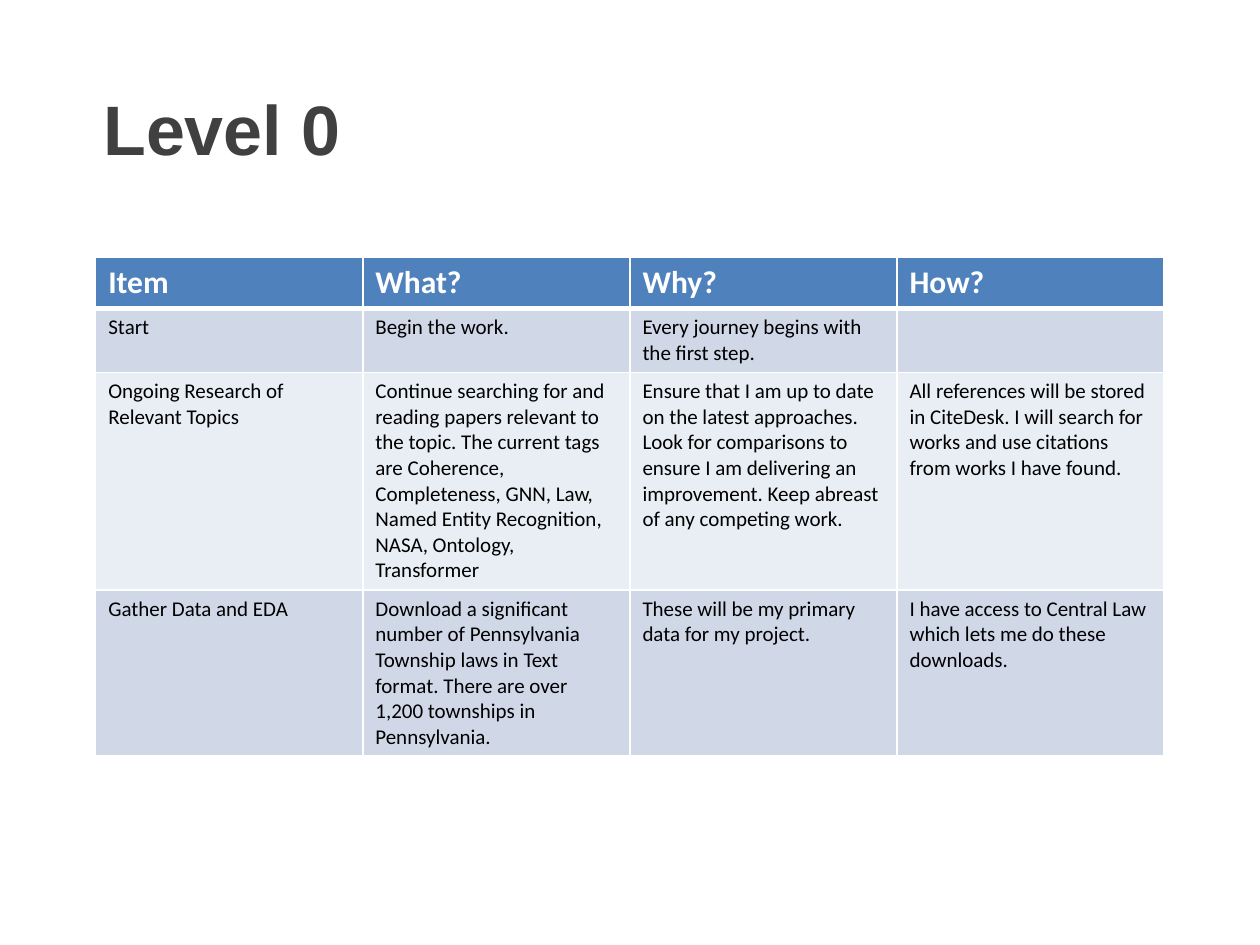
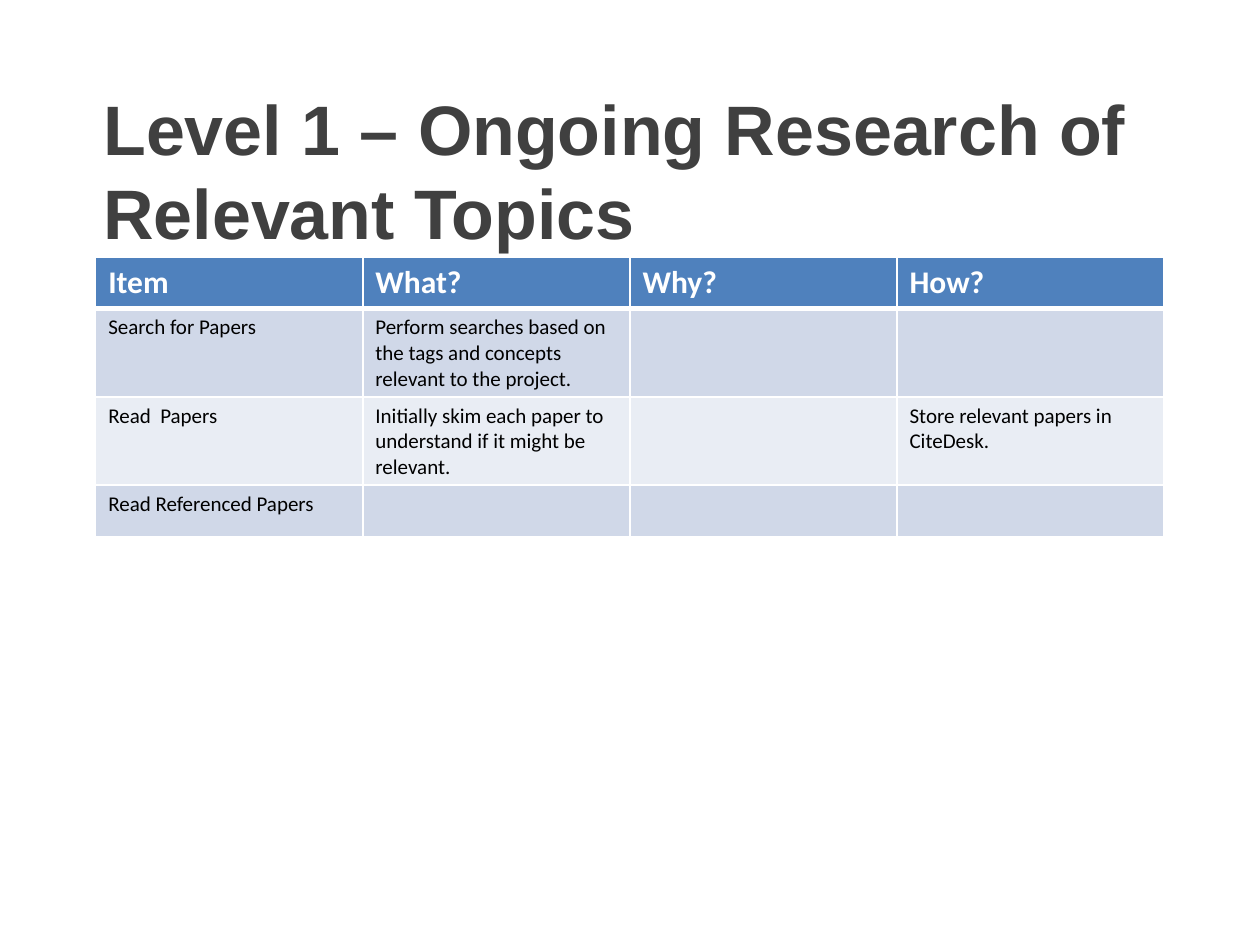
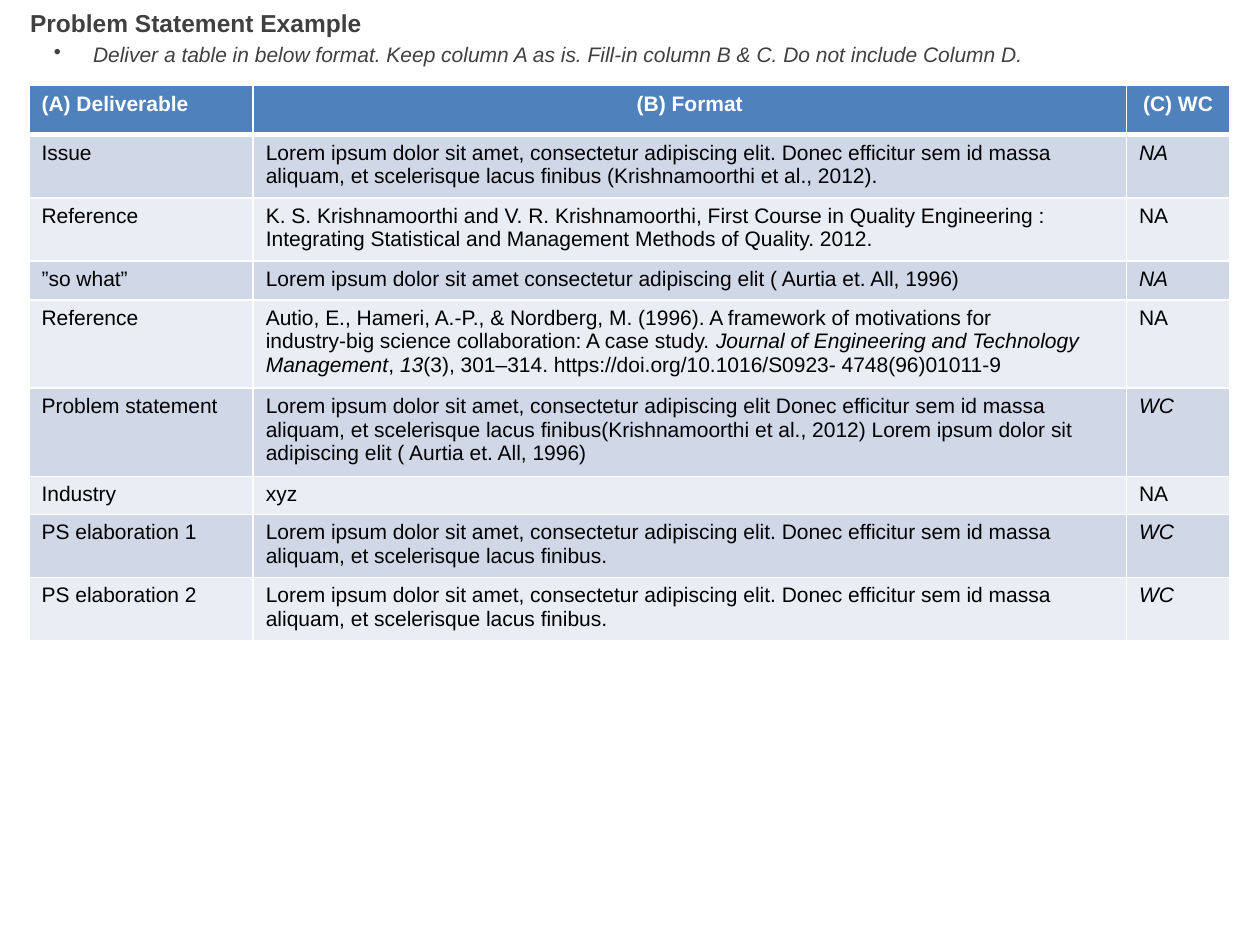
from lxml import etree
from pptx import Presentation
from pptx.dml.color import RGBColor
from pptx.enum.text import MSO_ANCHOR, PP_ALIGN
from pptx.oxml.ns import qn
from pptx.util import Inches, Pt

LEFT, CENTER = PP_ALIGN.LEFT, PP_ALIGN.CENTER
TOP = MSO_ANCHOR.TOP

# Shared look
WHITE, BLACK, GREY, HEADER = "FFFFFF", "000000", "404040", "4F81BD"
BANDS = ("D0D8E8", "E9EDF4")
SANS, BODY = "Arial", "Calibri"

# Content: *...* is italic, \n starts a paragraph
LEVEL_HEAD = ("Item", "What?", "Why?", "How?")
LEVELS = [
    ("Level 0", [
        ("Start", "Begin the work.", "Every journey begins with the first step.", ""),
        ("Ongoing Research of Relevant Topics",
         "Continue searching for and reading papers relevant to the topic. The current tags "
         "are Coherence, Completeness, GNN, Law, Named Entity Recognition, NASA, Ontology, "
         "Transformer",
         "Ensure that I am up to date on the latest approaches. Look for comparisons to "
         "ensure I am delivering an improvement. Keep abreast of any competing work.",
         "All references will be stored in CiteDesk. I will search for works and use "
         "citations from works I have found."),
        ("Gather Data and EDA",
         "Download a significant number of Pennsylvania Township laws in Text format. "
         "There are over 1,200 townships in Pennsylvania.",
         "These will be my primary data for my project.",
         "I have access to Central Law which lets me do these downloads."),
    ]),
    ("Level 1 – Ongoing Research of Relevant Topics", [
        ("Search for Papers",
         "Perform searches based on the tags and concepts relevant to the project.", "", ""),
        ("Read  Papers",
         "Initially skim each paper to understand if it might be relevant.", "",
         "Store relevant papers in CiteDesk."),
        ("Read Referenced Papers", "", "", ""),
    ]),
]

EXAMPLE_TITLE = "Problem Statement Example"
EXAMPLE_NOTE = ("Deliver a table in below format. Keep column A as is. "
                "Fill-in column B & C. Do not include Column D.")
EXAMPLE_HEAD = ("(A) Deliverable", "(B) Format", "(C) WC")
LOREM = ("Lorem ipsum dolor sit amet, consectetur adipiscing elit. Donec efficitur sem id "
         "massa aliquam, et scelerisque lacus finibus")
EXAMPLE_ROWS = [
    ("Issue", LOREM + " (Krishnamoorthi et al., 2012).", "*NA*"),
    ("Reference",
     "K. S. Krishnamoorthi and V. R. Krishnamoorthi, First Course in Quality Engineering : "
     "Integrating Statistical and Management Methods of Quality. 2012.", "NA"),
    ("”so what”",
     "Lorem ipsum dolor sit amet consectetur adipiscing elit ( Aurtia et. All, 1996)", "*NA*"),
    ("Reference",
     "Autio, E., Hameri, A.-P., & Nordberg, M. (1996). A framework of motivations for\n"
     "industry-big science collaboration: A case study. *Journal of Engineering and "
     "Technology Management*, *13*(3), 301–314. "
     "https://doi.org/10.1016/S0923- 4748(96)01011-9", "NA"),
    ("Problem statement",
     "Lorem ipsum dolor sit amet, consectetur adipiscing elit Donec efficitur sem id massa "
     "aliquam, et scelerisque lacus finibus(Krishnamoorthi et al., 2012) Lorem ipsum dolor "
     "sit adipiscing elit ( Aurtia et. All, 1996)", "*WC*"),
    ("Industry", "xyz", "NA"),
    ("PS elaboration 1", LOREM + ".", "*WC*"),
    ("PS elaboration 2", LOREM + ".", "*WC*"),
]
EXAMPLE_HEIGHTS = [0.39, 0.5, 0.5, 0.31, 0.7, 0.7, 0.3, 0.5, 0.5]


def rgb(color):
    return RGBColor.from_string(color)


def write(tf, text, size=12, font=SANS, color=BLACK, bold=False, align=LEFT, spacing=None):
    for i, line in enumerate(text.split("\n")):
        p = tf.add_paragraph() if i else tf.paragraphs[0]
        p.alignment = align
        p.line_spacing = spacing
        for j, part in enumerate(line.split("*")):
            if part:
                r = p.add_run()
                r.text = part
                f = r.font
                f.size, f.name, f.bold, f.italic = Pt(size), font, bold, j % 2 == 1
                f.color.rgb = rgb(color)


def add_text(slide, text, left, top, width, height, inset=0.1, **fmt):
    tf = slide.shapes.add_textbox(*map(Inches, (left, top, width, height))).text_frame
    tf.word_wrap, tf.vertical_anchor = True, TOP
    tf.margin_left, tf.margin_top = Inches(inset), Inches(0.06)
    write(tf, text, **fmt)
    return tf


def add_title(slide, text, left, top, height, size, **fmt):
    add_text(slide, text, left, top, 8.48, height, size=size, color=GREY, bold=True, **fmt)


def add_bullet(p, indent):
    pPr = p._p.get_or_add_pPr()
    pPr.set("marL", str(Inches(indent)))
    pPr.set("indent", str(-Inches(indent)))
    etree.SubElement(pPr, qn("a:buChar")).set("char", "•")


def set_borders(cell, bottom):
    tcPr = cell._tc.get_or_add_tcPr()
    for side, width in (("L", 1), ("R", 1), ("T", 1), ("B", bottom)):
        ln = etree.SubElement(tcPr, qn("a:ln" + side))
        ln.set("w", str(Pt(width)))
        fill = etree.SubElement(ln, qn("a:solidFill"))
        etree.SubElement(fill, qn("a:srgbClr")).set("val", WHITE)


def add_banded_table(slide, head, rows, left, top, widths, heights, font, head_size, aligns):
    box = map(Inches, (left, top, sum(widths), sum(heights)))
    table = slide.shapes.add_table(len(rows) + 1, len(head), *box).table
    for col, width in zip(table.columns, widths):
        col.width = Inches(width)
    for y, values in enumerate([head, *rows]):
        table.rows[y].height = Inches(heights[y])
        for x, text in enumerate(values):
            cell = table.cell(y, x)
            set_borders(cell, 1 if y else 3)
            cell.fill.solid()
            cell.fill.fore_color.rgb = rgb(BANDS[(y - 1) % 2] if y else HEADER)
            if y:
                write(cell.text_frame, text, font=font)
            else:
                write(cell.text_frame, text, size=head_size, font=font, color=WHITE,
                      bold=True, align=aligns[x])


def main():
    prs = Presentation()
    prs.slide_width, prs.slide_height = Inches(10), Inches(7.5)
    blank = prs.slide_layouts[6]

    # Level slides: four equal columns, rows grow with their text
    for title, rows in LEVELS:
        s = prs.slides.add_slide(blank)
        add_banded_table(s, LEVEL_HEAD, rows, 0.76, 2.04, [2.12] * 4,
                         [0.41] * (len(rows) + 1), BODY, 18, [LEFT] * 4)
        add_title(s, title, 0.75, 0.62, 1.15, 40, inset=0.07, spacing=Pt(48))

    # Problem statement slide
    s = prs.slides.add_slide(blank)
    add_banded_table(s, EXAMPLE_HEAD, EXAMPLE_ROWS, 0.23, 0.68, [1.78, 6.93, 0.82],
                     EXAMPLE_HEIGHTS, SANS, 12, [LEFT, CENTER, CENTER])
    add_title(s, EXAMPLE_TITLE, 0.14, 0, 0.68, 14)
    tf = add_text(s, f"*{EXAMPLE_NOTE}*", 0.33, 0.27, 8.48, 0.27, color=GREY)
    add_bullet(tf.paragraphs[0], 0.31)

    prs.save("out.pptx")


if __name__ == "__main__":
    main()
